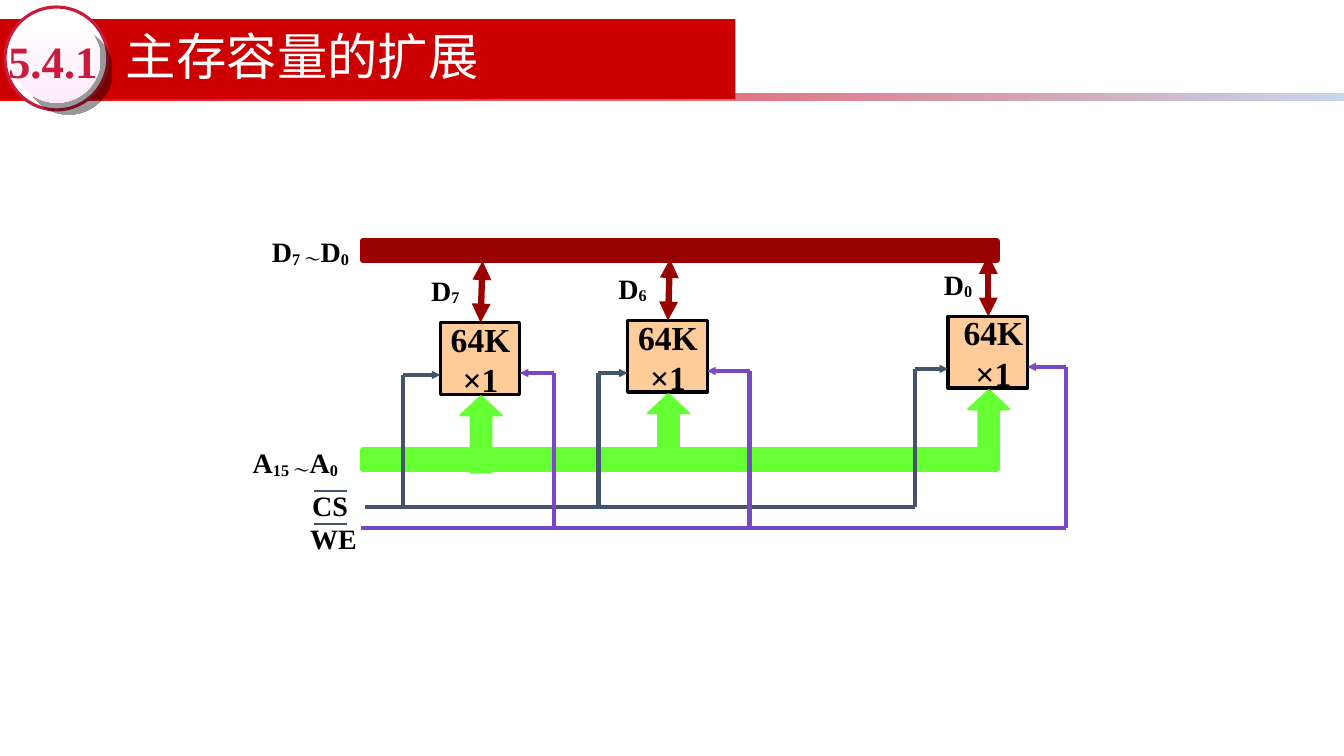
from dataclasses import dataclass

from lxml import etree
from pptx import Presentation
from pptx.dml.color import RGBColor
from pptx.enum.shapes import MSO_CONNECTOR, MSO_SHAPE
from pptx.enum.text import MSO_ANCHOR, MSO_AUTO_SIZE, PP_ALIGN
from pptx.oxml.ns import qn
from pptx.util import Inches, Pt

RECT, OVAL, UP = MSO_SHAPE.RECTANGLE, MSO_SHAPE.OVAL, MSO_SHAPE.UP_ARROW
LINE = MSO_CONNECTOR.STRAIGHT
MIDDLE, NO_FIT = MSO_ANCHOR.MIDDLE, MSO_AUTO_SIZE.NONE
LEFT, CENTER = PP_ALIGN.LEFT, PP_ALIGN.CENTER


@dataclass(frozen=True)
class Theme:
    banner: str = "CC0000"
    rule: tuple = ("FF0000", "C7D5ED")
    disc: tuple = ("FFFFFF", "FFEBFA")
    badge: str = "CB1B3D"
    white: str = "FFFFFF"
    ink: str = "000000"
    chip: str = "FFCC99"
    data: str = "990000"
    addr: str = "66FF33"
    pick: str = "44546A"
    store: str = "7A48C4"
    head: str = "Noto Sans CJK SC"
    body: str = "Times New Roman"
    title: int = 36
    number: int = 32
    cell: int = 24
    label: int = 20


@dataclass(frozen=True)
class Chip:
    x: float
    y: float
    bit: str
    pick: float   # x of the chip select riser
    store: float  # x of the write enable riser
    lean: float   # slant of the data arrow
    shift: float  # nudge of the texts


T = Theme()
CHIPS = (Chip(1.97, 1.0, "7", 1.6, 3.1, 0.02, 0),
         Chip(3.83, 0.98, "6", 3.54, 5.04, 0.02, 0),
         Chip(7.01, 0.94, "0", 6.68, 8.18, 0, 0.05))


def rgb(code):
    return RGBColor.from_string(code)


def shape(slide, kind, x, y, w, h, fill, line=None, width=0, angle=0):
    item = slide.shapes.add_shape(kind, Inches(x), Inches(y), Inches(w), Inches(h))
    item.shadow.inherit = False
    if isinstance(fill, tuple):
        item.fill.gradient()
        item.fill.gradient_angle = angle
        for stop, code in zip(item.fill.gradient_stops, fill):
            stop.color.rgb = rgb(code)
    else:
        item.fill.solid()
        item.fill.fore_color.rgb = rgb(fill)
    if line:
        item.line.color.rgb = rgb(line)
        item.line.width = Pt(width)
    else:
        item.line.fill.background()
    return item


def wire(slide, start, end, color, width=3, ends=(), size="sm"):
    item = slide.shapes.add_connector(
        LINE, *(Inches(v) for v in (*start, *end)))
    item.line.color.rgb = rgb(color)
    item.line.width = Pt(width)
    props = item._element.spPr
    for tag in ends:
        etree.SubElement(props.find(qn("a:ln")), qn(tag),
                         type="triangle", w=size, len=size)
    etree.SubElement(props, qn("a:effectLst"))


def style(para, face, size, color, bold=True, align=LEFT):
    para.alignment = align
    font = para.font
    font.name, font.size, font.bold = face, Pt(size), bold
    font.color.rgb = rgb(color)
    etree.SubElement(para._p.pPr.find(qn("a:defRPr")), qn("a:ea"), typeface=face)


def text_box(slide, x, y, w, h):
    frame = slide.shapes.add_textbox(
        Inches(x), Inches(y), Inches(w), Inches(h)).text_frame
    frame.word_wrap = True
    return frame


def label(slide, x, y, *parts):
    """Every second part is lowered."""
    para = text_box(slide, x, y, 1.29, 0.44).paragraphs[0]
    style(para, T.body, T.label, T.ink)
    for i, part in enumerate(parts):
        run = para.add_run()
        run.text = part
        if i % 2:
            run._r.get_or_add_rPr().set("baseline", "-10000")


def fill_holder(holder, x, y, w, h, text):
    holder.left, holder.top = Inches(x), Inches(y)
    holder.width, holder.height = Inches(w), Inches(h)
    frame = holder.text_frame
    frame.text = text
    frame.auto_size, frame.vertical_anchor = NO_FIT, MIDDLE
    return frame


def header(slide, x, y, w):
    # Banner and rule
    shape(slide, RECT, x, y + 0.92, w, 0.08, T.rule)
    shape(slide, RECT, x, y + 0.19, 7.3, 0.79, T.banner)

    # Round badge
    shape(slide, OVAL, x + 0.05, y + 0.07, 1.02, 1.02, T.white, T.badge, 2.25)
    disc = shape(slide, OVAL, x + 0.13, y + 0.15, 0.87, 0.87, T.disc, angle=270)
    glow = etree.SubElement(disc._element.spPr.find(qn("a:effectLst")),
                            qn("a:outerShdw"), dist=str(Pt(12.1)),
                            dir="2700000", algn="ctr", rotWithShape="0")
    tint = etree.SubElement(glow, qn("a:srgbClr"), val=T.ink)
    etree.SubElement(tint, qn("a:alpha"), val="40000")

    # Title and section number, raised above the banner
    title, number = slide.shapes.title, slide.placeholders[1]
    for holder in (title, number):
        slide.shapes._spTree.append(holder._element)
    frame = fill_holder(title, x + 1.15, y + 0.18, 7.44, 0.82, "主存容量的扩展")
    frame.paragraphs[0].line_spacing = 0.9
    style(frame.paragraphs[0], T.head, T.title, T.white, False)
    frame = fill_holder(number, x + 0.08, y + 0.33, 0.93, 0.54, "5.4.1")
    frame.margin_left = frame.margin_right = 0
    frame.margin_top = frame.margin_bottom = 0
    frame.paragraphs[0].space_before = Pt(0)
    style(frame.paragraphs[0], T.body, T.number, T.badge)


def memory(slide, x, y, chip, low, base):
    """Draw one chip and its wires down to the select and write lines."""
    cx, cy = x + chip.x, y + chip.y
    mid = cx + 0.4
    shape(slide, RECT, cx, cy, 0.79, 0.71, T.chip, T.ink, 2.25)
    arrow = shape(slide, UP, mid - 0.2, cy + 0.73, 0.41, 0.76, T.addr, T.addr, 1.5)
    arrow.adjustments[0], arrow.adjustments[1] = 0.5, 0.465
    wire(slide, (mid + chip.lean, cy - 0.61), (mid, cy), T.data, 4.5,
         ("a:headEnd", "a:tailEnd"), "med")

    # Select on the left, write enable on the right
    for riser, pin, drop, floor, color in (
            (x + chip.pick, cx, 0.52, low, T.pick),
            (x + chip.store, cx + 0.79, 0.5, base, T.store)):
        wire(slide, (riser, cy + drop), (riser, floor), color)
        wire(slide, (riser, cy + drop), (pin, cy + drop), color,
             ends=("a:tailEnd",))

    # Texts
    label(slide, cx - 0.19 + chip.shift, cy - 0.54, "D", chip.bit)
    frame = text_box(slide, cx - 0.34 + chip.shift, cy - 0.09, 1.48, 0.87)
    frame.text = "64K\n×1"
    for para in frame.paragraphs:
        style(para, T.body, T.cell, T.ink, align=CENTER)
    para.line_spacing, para.space_before = 0.4, Pt(15)


def diagram(slide, x, y):
    # Data and address buses
    for top, tall, color in ((0.19, 0.19, T.data), (2.27, 0.18, T.addr)):
        shape(slide, RECT, x + 1.2, y + top, 6.29, tall, color, color, 4.5)

    # Select and write lines
    low, base = y + 2.83, y + 3.04
    wire(slide, (x + 1.22, low), (x + CHIPS[-1].pick, low), T.pick)
    wire(slide, (x + 1.18, base), (x + CHIPS[-1].store, base), T.store)
    for chip in CHIPS:
        memory(slide, x, y, chip, low, base)

    # Names of the lines
    label(slide, x + 0.2, y + 0.08, "D", "7 ～", "D", "0")
    label(slide, x + 0.01, y + 2.17, "A", "15 ～", "A", "0")
    label(slide, x + 0.6, y + 2.6, "CS")
    label(slide, x + 0.58, y + 2.92, "WE")
    for bar in (y + 2.67, y + 3.0):
        wire(slide, (x + 0.72, bar), (x + 1.04, bar), T.pick, 1.5)


def main():
    deck = Presentation()
    deck.slide_width, deck.slide_height = Inches(13.34), Inches(7.5)
    slide = deck.slides.add_slide(deck.slide_layouts[2])
    header(slide, 0, 0, 13.34)
    diagram(slide, 2.4, 2.2)
    deck.save("out.pptx")


if __name__ == "__main__":
    main()
